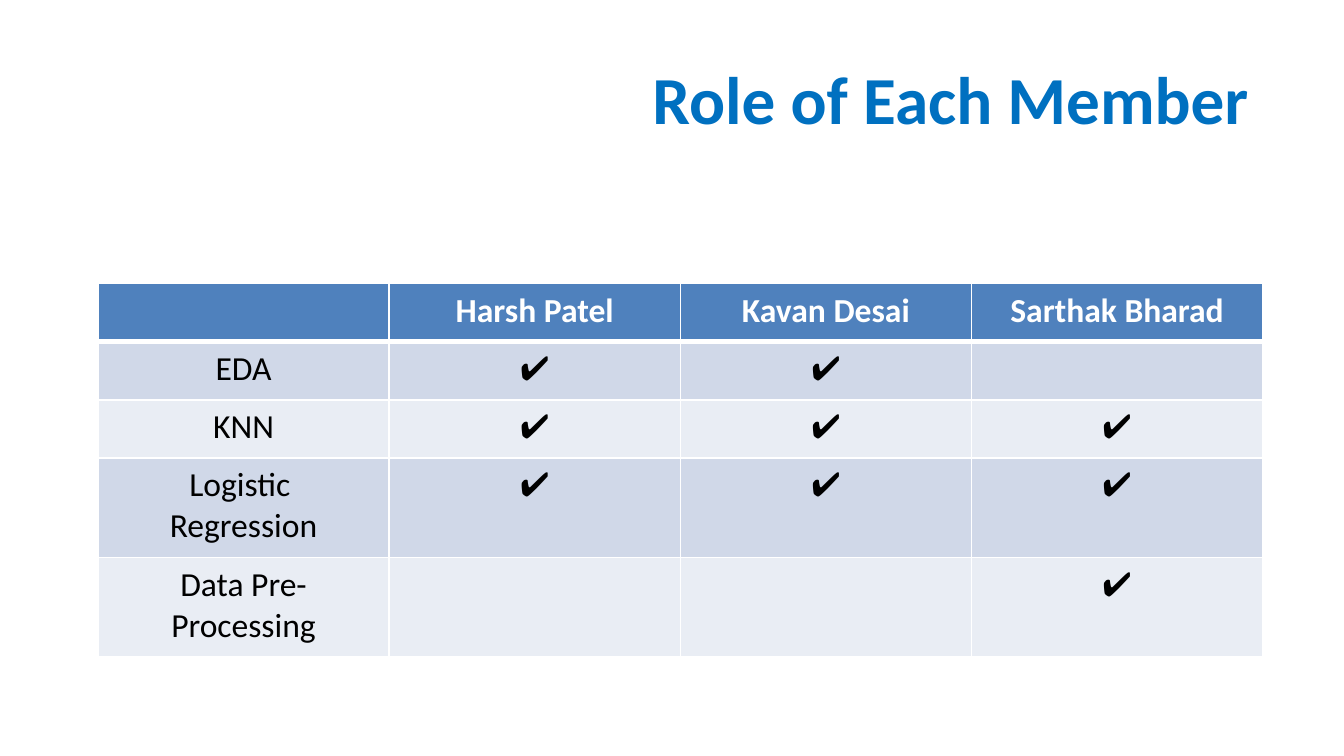
"""Build the slide that shows the role of each team member."""
import pptx
import pptx.dml.color
import pptx.enum.text
import pptx.oxml
import pptx.oxml.ns
import pptx.util

PX = 3810
THEME = {
    "font": "Calibri", "title_size": 36, "table_size": 18,
    "title": "0070C0", "header": "4F81BD", "header_text": "FFFFFF",
    "bands": ["D0D8E8", "E9EDF4"], "text": "000000", "border": "FFFFFF",
}
ALIGN = pptx.enum.text.PP_ALIGN
ANCHOR = pptx.enum.text.MSO_ANCHOR
COLOR = pptx.dml.color.RGBColor.from_string


def write_text(frame, text, *, size, color, bold=False, align=ALIGN.CENTER):
    frame.text = text
    for paragraph in frame.paragraphs:
        paragraph.alignment = align
        for font in [paragraph.font, *(run.font for run in paragraph.runs)]:
            font.name = THEME["font"]
            font.size = pptx.util.Pt(size)
            font.bold = bold
            font.color.rgb = COLOR(color)


def add_border(cell, side, points):
    cell._tc.get_or_add_tcPr().append(pptx.oxml.parse_xml(
        f'<a:{side} {pptx.oxml.ns.nsdecls("a")} w="{pptx.util.Pt(points)}">'
        f'<a:solidFill><a:srgbClr val="{THEME["border"]}"/></a:solidFill></a:{side}>'
    ))


presentation = pptx.Presentation()
presentation.slide_width = 2400 * PX
presentation.slide_height = 1350 * PX
slide = presentation.slides.add_slide(presentation.slide_layouts[5])

title = slide.shapes.title
title.left, title.top, title.width, title.height = (n * PX for n in (130, 74, 2124, 202))
title.text_frame.vertical_anchor = ANCHOR.MIDDLE
write_text(title.text_frame, "Role of Each Member", size=THEME["title_size"],
           color=THEME["title"], bold=True, align=ALIGN.RIGHT)

members = ["Harsh Patel", "Kavan Desai", "Sarthak Bharad"]
roles = [
    ("EDA", members[:2]),
    ("KNN", members),
    ("Logistic \nRegression", members),
    ("Data Pre-Processing", members[2:]),
]
rows = [["", *members]]
for role, doers in roles:
    rows.append([role, *("✔" if member in doers else "" for member in members)])

row_heights = [104, 104, 104, 178, 178]
table = slide.shapes.add_table(
    len(rows), len(rows[0]), 175 * PX, 506 * PX, 2080 * PX, sum(row_heights) * PX
).table

for row_index, texts in enumerate(rows):
    table.rows[row_index].height = row_heights[row_index] * PX
    is_header = row_index == 0
    fill = THEME["header"] if is_header else THEME["bands"][(row_index - 1) % 2]
    for column_index, text in enumerate(texts):
        cell = table.cell(row_index, column_index)
        write_text(cell.text_frame, text, size=THEME["table_size"],
                   color=THEME["header_text" if is_header else "text"],
                   bold=is_header or column_index > 0)
        add_border(cell, "lnL", 1)
        add_border(cell, "lnR", 1)
        add_border(cell, "lnT", 3 if row_index == 1 else 1)
        add_border(cell, "lnB", 3 if is_header else 1)
        cell.fill.solid()
        cell.fill.fore_color.rgb = COLOR(fill)

presentation.save("out.pptx")
